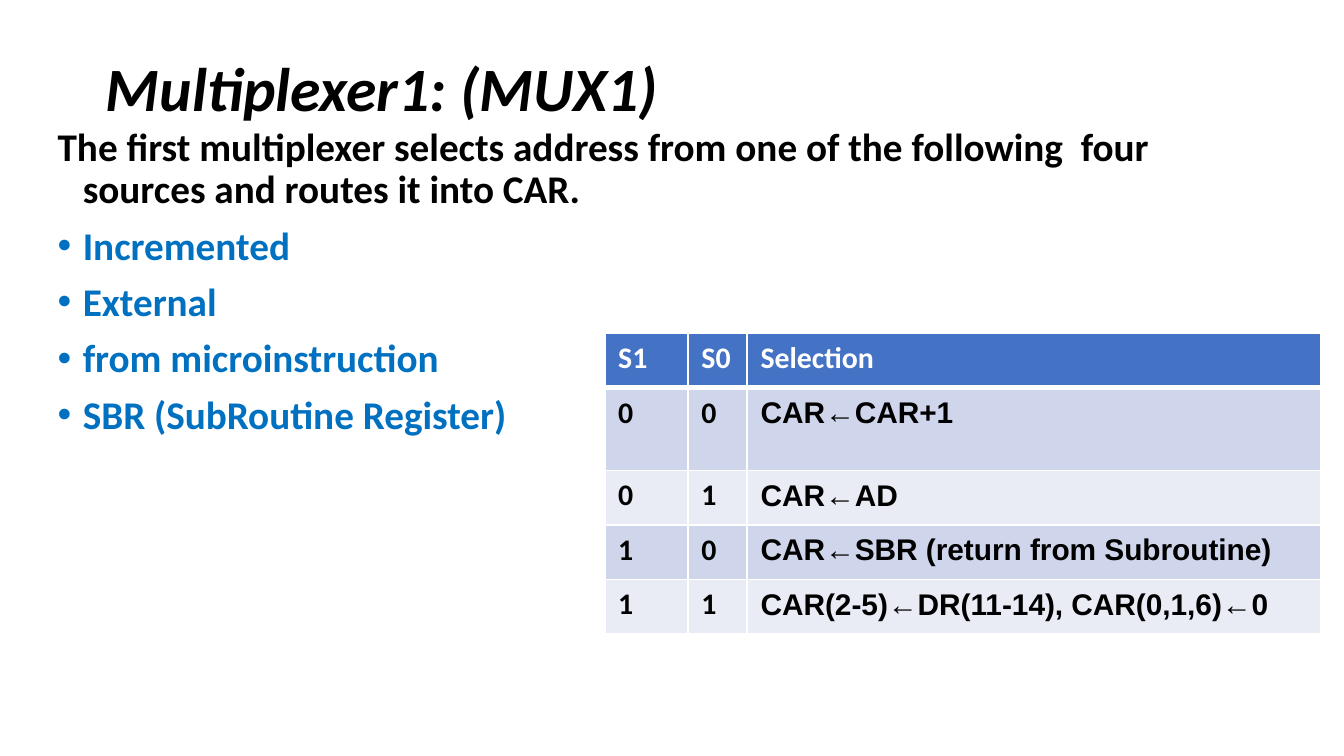
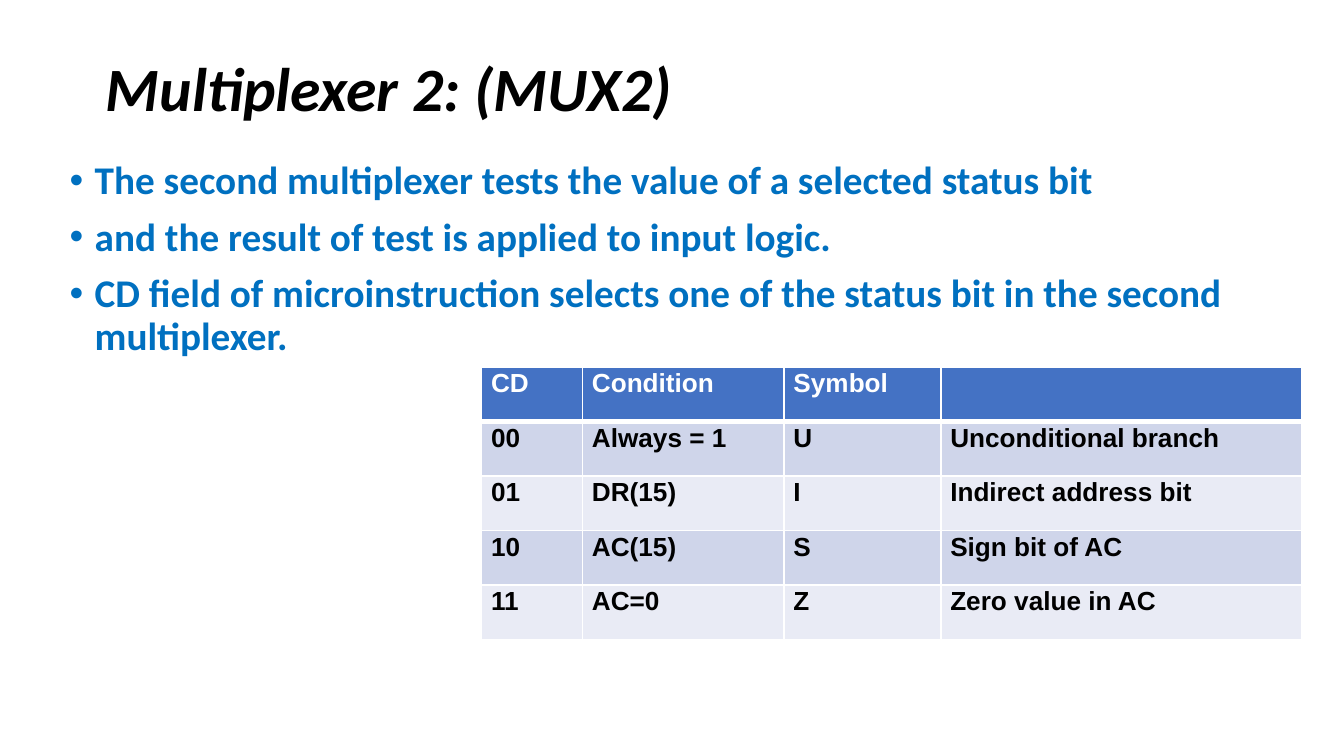
from lxml.etree import SubElement
from pptx import Presentation
from pptx.dml.color import RGBColor
from pptx.enum.text import MSO_ANCHOR, PP_ALIGN
from pptx.oxml.ns import qn
from pptx.util import Pt

# Shared look
BLACK, WHITE, BLUE = "000000", "FFFFFF", "0070C0"
HEADER_FILL = "4472C4"
BAND_FILLS = ("CFD5EA", "E9EBF5")
HEADING_FONT, TABLE_FONT = "Calibri", "Arial"
ROW_HEIGHT = 29.2
HANGING = Pt(13.5)


def color(value):
    return RGBColor.from_string(value)


def write(para, text, font=HEADING_FONT, size=21, fill=BLACK, italic=False,
          line=None, before=0):
    """Put one bold span of text into a paragraph."""
    para.alignment = PP_ALIGN.LEFT
    para.space_before = Pt(before)
    if line:
        para.line_spacing = line
    span = para.add_run()
    span.text = text
    span.font.name = font
    span.font.size = Pt(size)
    span.font.bold = True
    span.font.italic = italic
    span.font.color.rgb = color(fill)


def hang(para, bullet):
    """Give a paragraph a hanging indent, with or without a bullet."""
    props = para._p.get_or_add_pPr()
    props.set("marL", str(HANGING))
    props.set("indent", str(-HANGING))
    if bullet:
        SubElement(props, qn("a:buFont"), typeface="Arial")
        SubElement(props, qn("a:buChar"), char="•")
    else:
        SubElement(props, qn("a:buNone"))


def add_page(deck, title):
    page = deck.slides.add_slide(deck.slide_layouts[5])
    box = page.shapes.title
    box.left, box.top, box.width, box.height = Pt(49.5), Pt(21.6), Pt(621), Pt(54.7)
    box.text_frame.vertical_anchor = MSO_ANCHOR.MIDDLE
    write(box.text_frame.paragraphs[0], title, size=33, italic=True, line=0.9)
    return page


def add_body(page, left, top, width, height, bullets, intro=None):
    box = page.shapes.add_textbox(Pt(left), Pt(top), Pt(width), Pt(height))
    frame = box.text_frame
    frame.word_wrap = True
    lines = ([intro] if intro else []) + bullets
    for index, text in enumerate(lines):
        para = frame.add_paragraph() if index else frame.paragraphs[0]
        is_intro = text == intro
        write(para, text, fill=BLACK if is_intro else BLUE, line=0.9, before=7.5)
        hang(para, bullet=not is_intro)


def add_borders(cell, top, bottom):
    props = cell._tc.get_or_add_tcPr()
    for side, width in (("L", 1), ("R", 1), ("T", top), ("B", bottom)):
        edge = SubElement(props, qn(f"a:ln{side}"), w=str(Pt(width)))
        paint = SubElement(edge, qn("a:solidFill"))
        SubElement(paint, qn("a:srgbClr"), val=WHITE)


def add_grid(page, left, top, widths, rows, heights, size, font_of, inset=None):
    """Add a banded table; font_of(row, column) names the font of a cell."""
    table = page.shapes.add_table(len(rows), len(widths), Pt(left), Pt(top),
                                  Pt(sum(widths)), Pt(sum(heights))).table
    for column, width in zip(table.columns, widths):
        column.width = Pt(width)
    for r, (texts, height) in enumerate(zip(rows, heights)):
        table.rows[r].height = Pt(height)
        for c, text in enumerate(texts):
            cell = table.cell(r, c)
            add_borders(cell, top=3 if r == 1 else 1, bottom=1 if r else 3)
            cell.fill.solid()
            cell.fill.fore_color.rgb = color(BAND_FILLS[(r - 1) % 2] if r else HEADER_FILL)
            if inset is not None:
                cell.margin_left = cell.margin_right = Pt(inset)
                cell.margin_top = cell.margin_bottom = 0
            if text:
                font = font_of(r, c)
                write(cell.text_frame.paragraphs[0], text, font=font, size=size,
                      fill=BLACK if r else WHITE,
                      line=1.07 if font == TABLE_FONT else None)


def build_first_multiplexer(deck):
    page = add_page(deck, "Multiplexer1: (MUX1)")
    add_body(page, 23.8, 64.8, 624.2, 221.8,
             ["Incremented", "External", "from microinstruction",
              "SBR (SubRoutine Register)"],
             intro="The first multiplexer selects address from one of the following  four "
                   "sources and routes it into CAR.")
    rows = [
        ("S1", "S0", "Selection"),
        ("0", "0", "CAR←CAR+1"),
        ("0", "1", "CAR←AD"),
        ("1", "0", "CAR←SBR (return from Subroutine)"),
        ("1", "1", "CAR(2-5)←DR(11-14), CAR(0,1,6)←0"),
    ]
    heights = [ROW_HEIGHT, 44.2] + [ROW_HEIGHT] * 3
    add_grid(page, 324, 178.6, [44.6, 31.7, 307.4], rows, heights, 16,
             lambda r, c: TABLE_FONT if r and c == 2 else HEADING_FONT)


def build_second_multiplexer(deck):
    page = add_page(deck, "Multiplexer 2: (MUX2)")
    add_body(page, 30.2, 82.8, 660.2, 120.2,
             ["The second multiplexer tests the value of a selected status bit",
              "and the result of test is applied to input logic.",
              "CD field of microinstruction selects one of the status bit in the second "
              "multiplexer."])
    rows = [
        ("CD", "Condition", "Symbol", ""),
        ("00", "Always = 1", "U", "Unconditional branch"),
        ("01", "DR(15)", "I", "Indirect address bit"),
        ("10", "AC(15)", "S", "Sign bit of AC"),
        ("11", "AC=0", "Z", "Zero value in AC"),
    ]
    add_grid(page, 258, 196.6, [54, 108, 84, 193.5], rows, [ROW_HEIGHT] * 5, 14,
             lambda r, c: TABLE_FONT, inset=5.1)


def main():
    deck = Presentation()
    deck.slide_width, deck.slide_height = Pt(720), Pt(405)
    build_first_multiplexer(deck)
    build_second_multiplexer(deck)
    deck.save("out.pptx")


if __name__ == "__main__":
    main()
